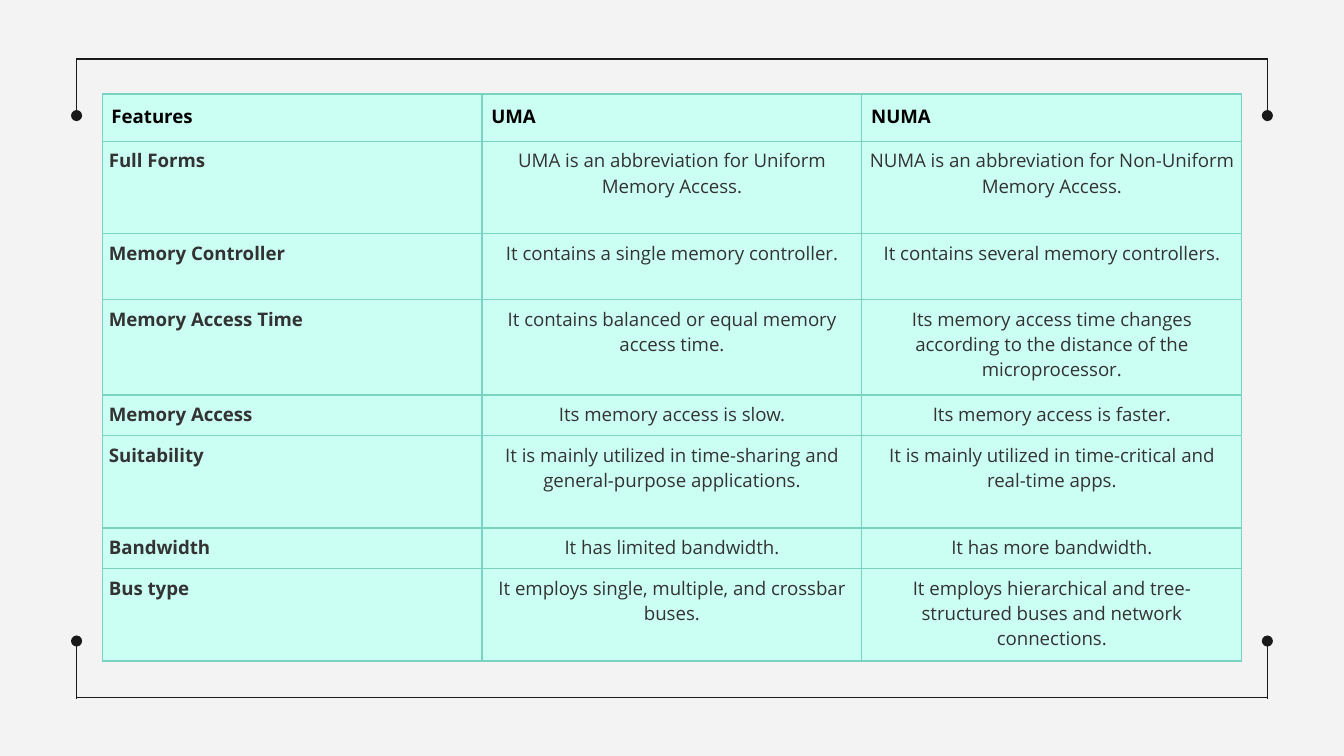
from lxml import etree
from pptx import Presentation
from pptx.dml.color import RGBColor
from pptx.enum.shapes import MSO_CONNECTOR
from pptx.enum.text import PP_ALIGN
from pptx.oxml.ns import qn
from pptx.util import Inches, Pt

STRAIGHT = MSO_CONNECTOR.STRAIGHT
LEFT, CENTER, JUSTIFY = PP_ALIGN.LEFT, PP_ALIGN.CENTER, PP_ALIGN.JUSTIFY

BACKGROUND = RGBColor(0xF3, 0xF3, 0xF3)
INK = RGBColor(0x19, 0x19, 0x19)
MINT = RGBColor(0xCC, 0xFF, 0xF3)
BORDER = RGBColor(0x7A, 0xD3, 0xC0)
BLACK = RGBColor(0x00, 0x00, 0x00)
BODY = RGBColor(0x33, 0x33, 0x33)

FONT = "Open Sans"
LINE_WIDTH = Pt(0.75)
OVERLAP = 0.01
ROW_HEIGHTS = [0.35, 0.69, 0.49, 0.71, 0.3, 0.69, 0.3, 0.69]
ROWS = [
    ("Features", "UMA", "NUMA"),
    ("Full Forms",
     "UMA is an abbreviation for Uniform Memory Access.",
     "NUMA is an abbreviation for Non-Uniform Memory Access."),
    ("Memory Controller",
     "It contains a single memory controller.",
     "It contains several memory controllers."),
    ("Memory Access Time",
     "It contains balanced or equal memory access time.",
     "Its memory access time changes according to the distance of the microprocessor."),
    ("Memory Access",
     "Its memory access is slow.",
     "Its memory access is faster."),
    ("Suitability",
     "It is mainly utilized in time-sharing and general-purpose applications.",
     "It is mainly utilized in time-critical and real-time apps."),
    ("Bandwidth",
     "It has limited bandwidth.",
     "It has more bandwidth."),
    ("Bus type",
     "It employs single, multiple, and crossbar buses.",
     "It employs hierarchical and tree-structured buses and network connections."),
]


def add_line(s, x1, y1, x2, y2, dot=False):
    """Draw a thin line, with a round dot at its end if asked."""
    c = s.shapes.add_connector(
        STRAIGHT, Inches(x1), Inches(y1), Inches(x2), Inches(y2))
    c.line.color.rgb = INK
    c.line.width = LINE_WIDTH
    if dot:
        etree.SubElement(c.line._get_or_add_ln(), qn("a:tailEnd"), type="oval")
    etree.SubElement(c._element.spPr, qn("a:effectLst"))


def add_frame(s, left, top, width, height, arm):
    """Draw a bracket along the top and the bottom of the box."""
    right, bottom = left + width, top + height
    for y, inward in ((top, 1), (bottom, -1)):
        add_line(s, left, y, right, y)
        for x in (left, right):
            add_line(s, x, y - inward * OVERLAP, x, y + inward * arm, dot=True)


def set_borders(cell):
    """Outline all four sides of a table cell."""
    tcPr = cell._tc.get_or_add_tcPr()
    for side in ("a:lnL", "a:lnR", "a:lnT", "a:lnB"):
        ln = etree.SubElement(tcPr, qn(side), w=str(LINE_WIDTH))
        fill = etree.SubElement(ln, qn("a:solidFill"))
        etree.SubElement(fill, qn("a:srgbClr"), val=str(BORDER))


def fill_cell(cell, text, header, first):
    """Format one cell and write its text."""
    set_borders(cell)
    cell.fill.solid()
    cell.fill.fore_color.rgb = MINT
    inset = Inches(0.07 if header else 0.05)
    cell.margin_left = cell.margin_right = inset
    cell.margin_top = cell.margin_bottom = inset
    p = cell.text_frame.paragraphs[0]
    p.alignment = LEFT if header else JUSTIFY if first else CENTER
    r = p.add_run()
    r.text = text
    r.font.name = FONT
    r.font.size = Pt(10)
    r.font.bold = header or first
    r.font.color.rgb = BLACK if header else BODY


def add_comparison(s, left, top, width):
    """Place the table comparing UMA and NUMA."""
    columns = len(ROWS[0])
    table = s.shapes.add_table(
        len(ROWS), columns, Inches(left), Inches(top),
        Inches(width), Inches(sum(ROW_HEIGHTS))).table
    table.horz_banding = False
    for column in table.columns:
        column.width = Inches(width / columns)
    for i, (height, texts) in enumerate(zip(ROW_HEIGHTS, ROWS)):
        table.rows[i].height = Inches(height)
        for j, text in enumerate(texts):
            fill_cell(table.cell(i, j), text, header=i == 0, first=j == 0)


def main():
    """Build the slide and save it."""
    prs = Presentation()
    prs.slide_width = Inches(10)
    prs.slide_height = prs.slide_width * 9 // 16
    s = prs.slides.add_slide(prs.slide_layouts[6])
    s.background.fill.solid()
    s.background.fill.fore_color.rgb = BACKGROUND
    add_frame(s, 0.57, 0.44, 8.86, 4.75, arm=0.42)
    add_comparison(s, 0.76, 0.7, 8.48)
    prs.save("out.pptx")


if __name__ == "__main__":
    main()
